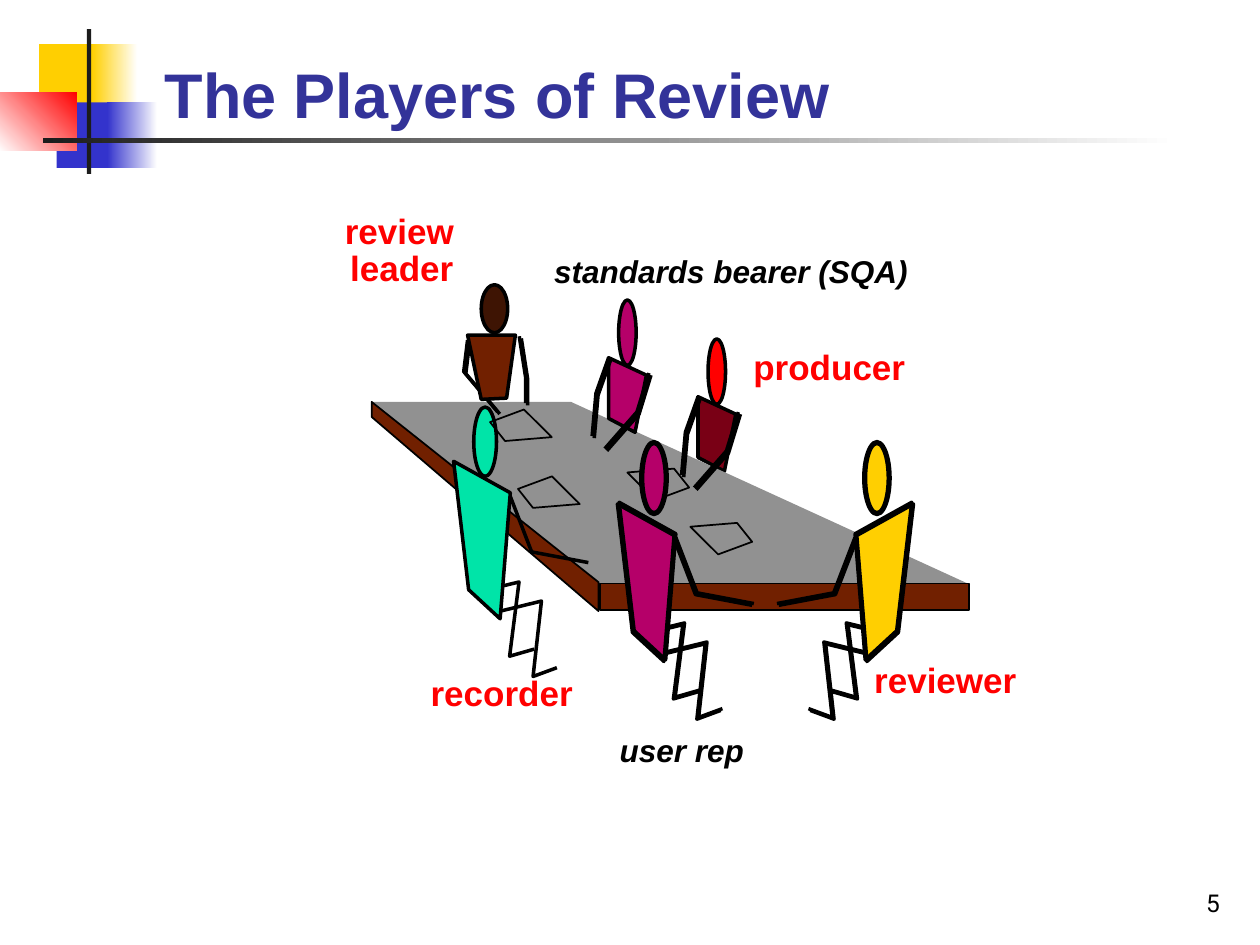
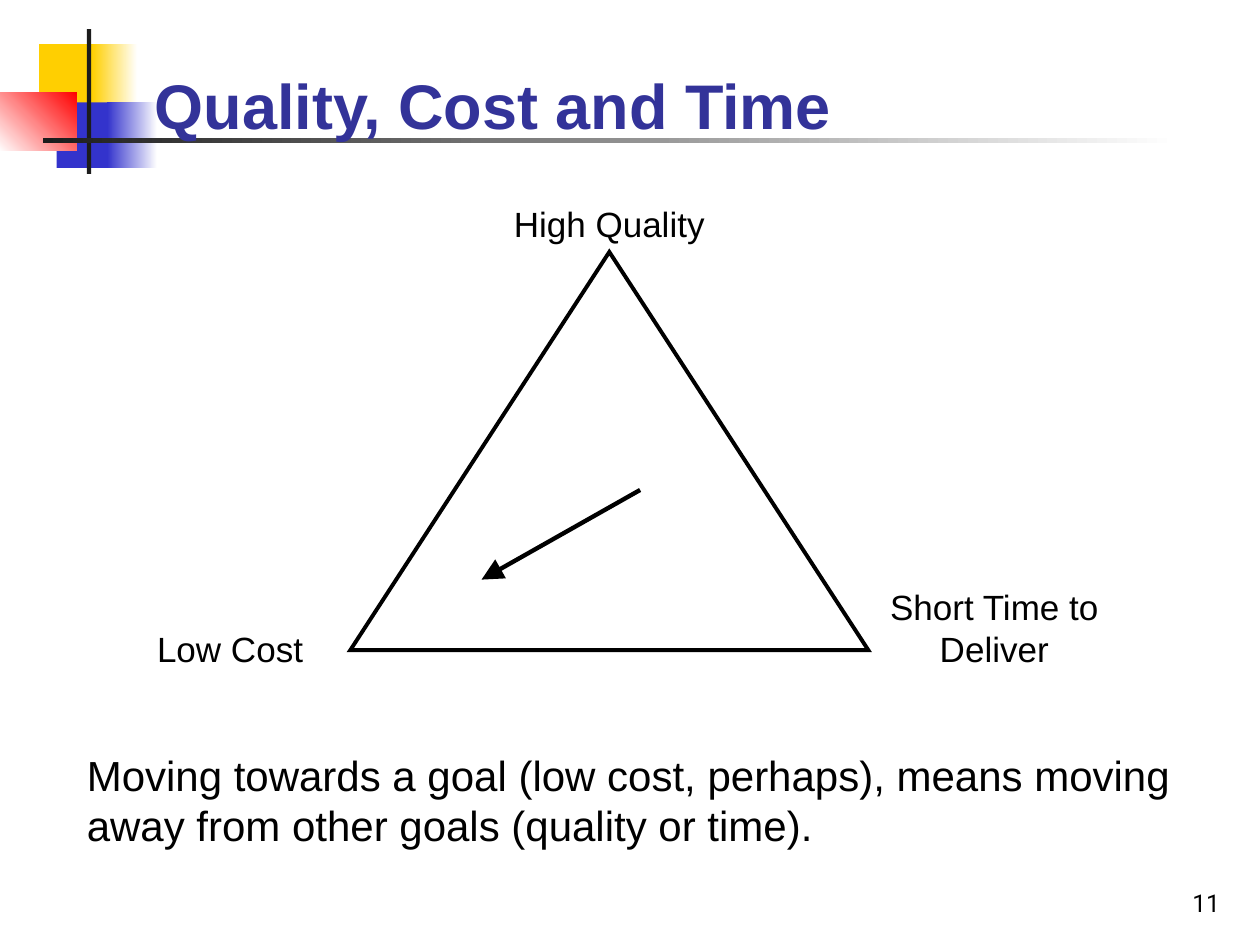
from dataclasses import dataclass

from lxml import etree
from pptx import Presentation
from pptx.dml.color import RGBColor
from pptx.enum.shapes import MSO_CONNECTOR, MSO_SHAPE
from pptx.enum.text import MSO_ANCHOR, MSO_AUTO_SIZE, PP_ALIGN
from pptx.oxml.ns import qn
from pptx.util import Pt

RECTANGLE = MSO_SHAPE.RECTANGLE
ELLIPSE = MSO_SHAPE.OVAL
TRIANGLE = MSO_SHAPE.ISOSCELES_TRIANGLE
STRAIGHT = MSO_CONNECTOR.STRAIGHT
TOP, MIDDLE, BOTTOM = MSO_ANCHOR.TOP, MSO_ANCHOR.MIDDLE, MSO_ANCHOR.BOTTOM
LEFT, CENTER, RIGHT = PP_ALIGN.LEFT, PP_ALIGN.CENTER, PP_ALIGN.RIGHT
FIT_SHAPE = MSO_AUTO_SIZE.SHAPE_TO_FIT_TEXT


@dataclass(frozen=True)
class Theme:
    """Colours, fonts, type sizes and line widths of the deck."""
    white: str = "FFFFFF"
    black: str = "000000"
    ink: str = "1C1C1C"
    title: str = "333399"
    yellow: str = "FFCF01"
    blue: str = "3333CC"
    red: str = "FF0000"
    gray: str = "919191"
    brown: str = "712000"
    dark_brown: str = "3E1403"
    maroon: str = "790015"
    magenta: str = "B50069"
    mint: str = "00E4A8"
    font: str = "Arial"
    number_font: str = "Roboto"
    title_size: float = 36
    body_size: float = 24
    label_size: float = 20
    note_size: float = 18
    number_size: float = 14
    thin: float = 1
    stroke: float = 2
    triangle: float = 2.25
    arrow: float = 2.5


THEME = Theme()
FRONT_WIDTH = 77

# Outlines in points, each relative to the box of its figure.
FRONT_LEGS = [[(11, 110), (37.4, 103.6), (32, 146), (46, 142)],
              [(23.6, 121), (50.2, 114.5), (45.4, 157.6), (59, 152.6)]]
FRONT_BODY = [(8.6, 108), (0, 34.6), (32.4, 52.6), (26.6, 124.6)]
FRONT_ARM = [(32.4, 54.7), (44.6, 86.4), (77, 92.5)]
BACK_BODY = [(9.4, 67.7), (9.4, 33), (31, 43), (24.5, 75.6)]
BACK_ARMS = [[(32.4, 41.8), (25.6, 64), (7.2, 85)],
             [(9.4, 33), (2.2, 53.3), (0, 77.8)]]
LEADER_BODY = [(2.2, 28.8), (29.5, 28.8), (24.5, 64.8), (10, 65.5)]
LEADER_ARMS = [[(2.2, 31.7), (0, 49.7), (19.4, 72.7)],
               [(31.7, 29.5), (35.3, 52.6), (35.3, 67.7)]]
PAPER = [(8.6, 18), (35.3, 15.8), (19.4, 0), (0, 7.2)]
PAPER_WIDTH, PAPER_HEIGHT = 36, 18


def paint(shape, fill=None, line=None, width=THEME.stroke):
    """Set fill, outline and shadow; a pair of colours makes a gradient."""
    shape.shadow.inherit = False
    if fill is None:
        shape.fill.background()
    elif isinstance(fill, tuple):
        shape.fill.gradient()
        for stop, color in zip(shape.fill.gradient_stops, fill):
            stop.color.rgb = RGBColor.from_string(color)
    else:
        shape.fill.solid()
        shape.fill.fore_color.rgb = RGBColor.from_string(fill)
    if line is None:
        shape.line.fill.background()
    else:
        shape.line.color.rgb = RGBColor.from_string(line)
        shape.line.width = Pt(width)
    return shape


def add_preset(slide, kind, box, **style):
    """Add a preset shape in a box of points."""
    shape = slide.shapes.add_shape(kind, *[Pt(value) for value in box])
    return paint(shape, **style)


def add_outline(slide, origin, points, close=False, **style):
    """Add a freeform whose points are relative to the origin."""
    vertices = [(Pt(origin[0] + x), Pt(origin[1] + y)) for x, y in points]
    builder = slide.shapes.build_freeform(*vertices[0])
    builder.add_line_segments(vertices[1:], close=close)
    return paint(builder.convert_to_shape(), **style)


def add_text(slide, text, box, size=THEME.label_size, color=THEME.black,
             font=THEME.font, bold=False, italic=False, align=LEFT,
             anchor=TOP, wrap=True):
    """Add a text box with one formatted paragraph; unwrapped boxes fit it."""
    frame = slide.shapes.add_textbox(*[Pt(value) for value in box]).text_frame
    frame.word_wrap = wrap
    if not wrap:
        frame.auto_size = FIT_SHAPE
    frame.vertical_anchor = anchor
    paragraph = frame.paragraphs[0]
    paragraph.alignment = align
    run = paragraph.add_run()
    run.text = text
    run.font.name = font
    run.font.size = Pt(size)
    run.font.bold = bold
    run.font.italic = italic
    run.font.color.rgb = RGBColor.from_string(color)


def add_arrow(slide, start, end):
    """Add a straight arrow with a large triangular head at its end."""
    connector = slide.shapes.add_connector(
        STRAIGHT, *[Pt(value) for value in (*start, *end)])
    connector.line.color.rgb = RGBColor.from_string(THEME.black)
    connector.line.width = Pt(THEME.arrow)
    properties = connector.element.spPr
    etree.SubElement(properties.find(qn("a:ln")), qn("a:tailEnd"),
                     type="triangle", w="lg", len="lg")
    etree.SubElement(properties, qn("a:effectLst"))


def add_ornament(slide):
    """Draw the coloured squares and the two rules around the title."""
    pieces = [
        ((22.3, 25.2, 34.6, 37.4), THEME.yellow),
        ((52.6, 25.2, 25.9, 37.4), (THEME.yellow, THEME.white)),
        ((32.4, 58.5, 33, 37.4), THEME.blue),
        ((61.2, 58.5, 28.8, 37.4), (THEME.blue, THEME.white)),
        ((-0.7, 52.6, 44.5, 33.5), (THEME.white, THEME.red)),
        ((49.7, 16.6, 2.4, 82.8), THEME.ink),
        ((24.5, 79, 648, 2.8), (THEME.ink, THEME.white)),
    ]
    for box, fill in pieces:
        shape = add_preset(slide, RECTANGLE, box, fill=fill)
        if isinstance(fill, tuple):
            shape.fill.gradient_angle = 45 if fill[0] == THEME.white else 0


def add_base_slide(presentation, title, number, title_box, anchor):
    """Add a blank slide with ornament, page number and title."""
    slide = presentation.slides.add_slide(presentation.slide_layouts[6])
    add_ornament(slide)
    add_text(slide, number, (554.4, 491.8, 149.8, 36), size=THEME.number_size,
             font=THEME.number_font, align=RIGHT, anchor=BOTTOM)
    add_text(slide, title, title_box, size=THEME.title_size, color=THEME.title,
             bold=True, anchor=anchor)
    return slide


def add_table_top(slide, left, top):
    """Draw the meeting table: surface, front edge and side edge."""
    add_outline(slide, (left, top), [(0, 0), (114, 0), (342, 104.4), (129.6, 104.4)],
                close=True, fill=THEME.gray)
    add_preset(slide, RECTANGLE, (left + 130.3, top + 103.7, 211, 15),
               fill=THEME.brown, line=THEME.black, width=THEME.thin)
    add_outline(slide, (left, top), [(129.6, 103), (0, 0), (0, 8.6), (129.6, 119.5)],
                close=True, fill=THEME.brown, line=THEME.black, width=THEME.thin)


def add_front_person(slide, left, top, color, head=(14.4, 0), mirrored=False,
                     doubled=True):
    """Draw a person on the near side, facing right unless mirrored."""
    step = -1 if mirrored else 1
    shifts = [(0, 0), (step, -1)] if doubled else [(0, 0)]

    def face(points):
        return [(FRONT_WIDTH - x, y) if mirrored else (x, y) for x, y in points]

    def draw(points, fill=None, close=False):
        for index, (x, y) in enumerate(shifts):
            add_outline(slide, (left + x, top + y), face(points), close=close,
                        fill=None if index else fill, line=THEME.black)

    for leg in FRONT_LEGS:
        draw(leg)
    draw(FRONT_BODY, color, close=True)
    head_x = FRONT_WIDTH - head[0] - 13 if mirrored else head[0]
    for index in range(len(shifts)):
        add_preset(slide, ELLIPSE,
                   (left + head_x - index, top + head[1] - index,
                    13 + 2 * index, 39.6 + 2 * index),
                   fill=None if index else color, line=THEME.black)
    draw(FRONT_ARM)


def add_body(slide, left, top, points, color):
    """Draw the torso of a person on the far side."""
    add_outline(slide, (left, top), points, close=True, fill=color, line=THEME.black)


def add_head_and_arms(slide, left, top, head, color, arms):
    """Draw the head and the doubled arms of a person on the far side."""
    x, y, width, height = head
    add_preset(slide, ELLIPSE, (left + x, top + y, width, height),
               fill=color, line=THEME.black)
    for arm in arms:
        for shift in (1.2, 0):
            add_outline(slide, (left + shift, top + shift), arm, line=THEME.black)


def add_paper(slide, left, top, turned=False):
    """Draw a sheet of paper, turned half round if asked."""
    points = [(PAPER_WIDTH - x, PAPER_HEIGHT - y) for x, y in PAPER] if turned else PAPER
    add_outline(slide, (left, top), points, close=True, line=THEME.black,
                width=THEME.thin)


def add_review_scene(slide):
    """Draw the people around the table, from back to front, with their roles."""
    producer, bearer, leader = (389.5, 193.7), (338.4, 171.4), (265, 162.7)
    back_head = (15.1, 0, 10, 37.4)
    add_body(slide, *producer, BACK_BODY, THEME.maroon)
    add_table_top(slide, 212.4, 229.7)
    add_front_person(slide, 259.2, 229, THEME.mint, head=(11.5, 3.6), doubled=False)
    add_front_person(slide, 445, 253.4, THEME.yellow, mirrored=True)
    add_head_and_arms(slide, *leader, (10, 0, 15.1, 27.4), THEME.dark_brown, LEADER_ARMS)
    add_body(slide, *leader, LEADER_BODY, THEME.brown)
    add_head_and_arms(slide, *producer, back_head, THEME.red, BACK_ARMS)
    for left, top, turned in [(296, 272.2, False), (393.8, 298.8, True),
                              (357.8, 267.8, True), (280, 234, False)]:
        add_paper(slide, left, top, turned)
    add_body(slide, *bearer, BACK_BODY, THEME.magenta)
    add_head_and_arms(slide, *bearer, back_head, THEME.magenta, BACK_ARMS)
    add_front_person(slide, 352.8, 253.4, THEME.magenta)

    roles = [("review", 190, 116, 78), ("leader", 193, 137.5, 75),
             ("producer", 423.4, 194, 103), ("recorder", 239, 380, 97),
             ("reviewer", 492.5, 373, 97)]
    for text, left, top, width in roles:
        add_text(slide, text, (left, top, width, 31), color=THEME.red, bold=True,
                 wrap=False)
    notes = [("standards bearer (SQA)", 309.6, 140.4, 218),
             ("user rep", 347, 414.4, 87)]
    for text, left, top, width in notes:
        add_text(slide, text, (left, top, width, 28.8), size=THEME.note_size,
                 bold=True, italic=True, wrap=False)


def add_trade_off(slide, left, top, width, height):
    """Draw the triangle of goals with its corner labels and the arrow."""
    labels = [("High Quality", 57.6, -31.7, 180.7, 31.7),
              ("Low Cost", -123.8, 211, 110.2, 31.7),
              ("Short Time to Deliver", 296, 187.2, 144, 55.4)]
    for text, x, y, label_width, label_height in labels:
        add_text(slide, text, (left + x, top + y, label_width, label_height),
                 align=CENTER)
    triangle = add_preset(slide, TRIANGLE, (left, top, width, height),
                          line=THEME.black, width=THEME.triangle)
    etree.SubElement(triangle.element.spPr.find(qn("a:ln")), qn("a:miter"), lim="800000")
    add_arrow(slide, (left + 165.6, top + 136), (left + 75, top + 187.2))


def main():
    """Build both slides and save the deck."""
    presentation = Presentation()
    presentation.slide_width, presentation.slide_height = Pt(720), Pt(540)

    players = add_base_slide(presentation, "The Players of Review", "5",
                             (87, 20.2, 532.8, 66.2), MIDDLE)
    add_review_scene(players)

    goals = add_base_slide(presentation, "Quality, Cost and Time", "11",
                           (81.4, 16.6, 613.4, 68.4), BOTTOM)
    add_trade_off(goals, 200.2, 144, 296, 227.5)
    add_text(goals, "Moving towards a goal (low cost, perhaps), means moving "
             "away from other goals (quality or time).",
             (42.5, 424.8, 646.6, 64.8), size=THEME.body_size)
    presentation.save("out.pptx")


main()
